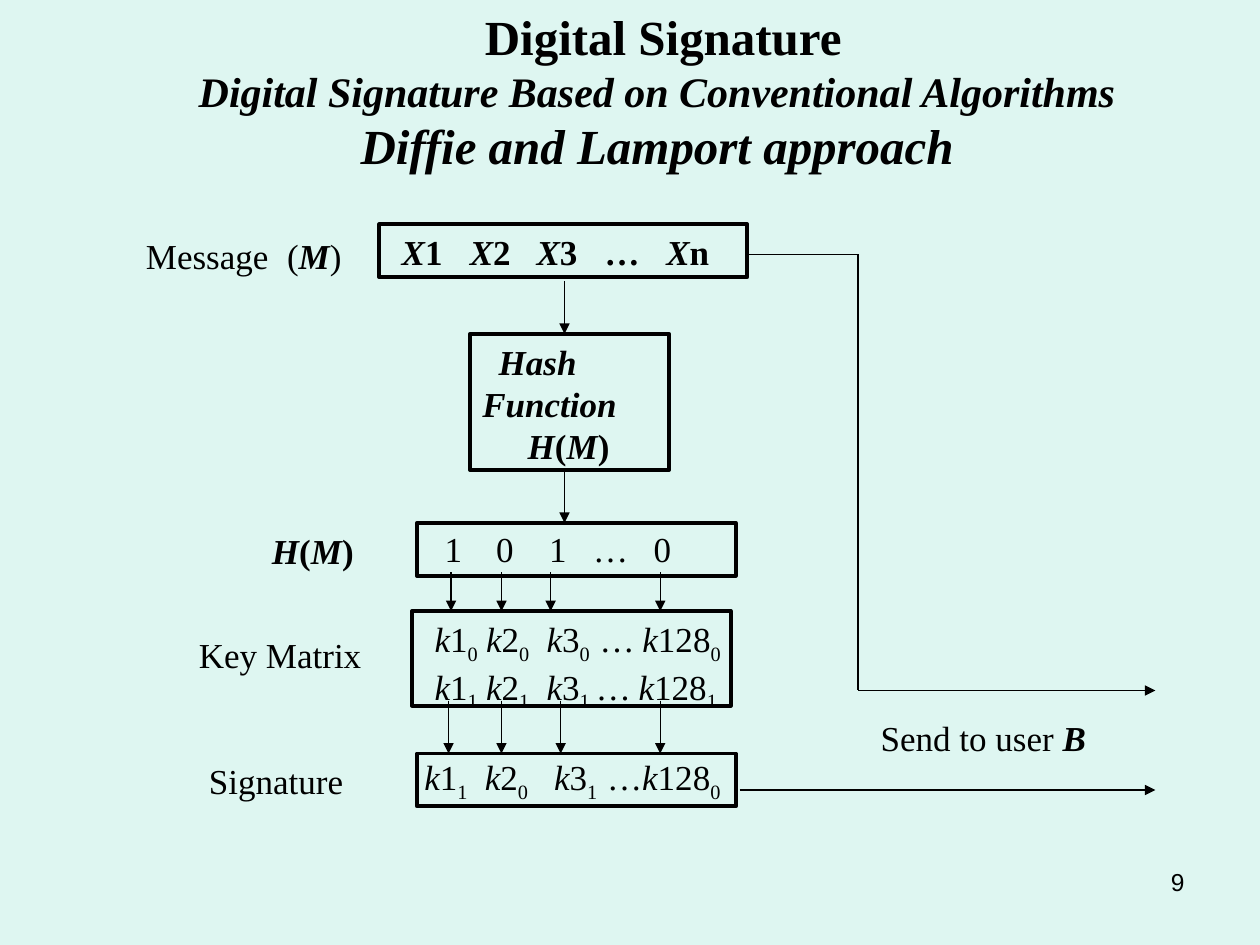
from dataclasses import dataclass

from lxml import etree
from pptx import Presentation
from pptx import util as u
from pptx.dml.color import RGBColor
from pptx.enum import shapes, text
from pptx.oxml.ns import qn

PX = 9144  # EMU in one px, 100 px to the inch
INK = "000000"
SERIF = "Times New Roman"
LEFT, MID, RIGHT = text.PP_ALIGN.LEFT, text.PP_ALIGN.CENTER, text.PP_ALIGN.RIGHT
MARKS = {"/": "italic", "#": "bold", "_": "sub"}


@dataclass
class Para:
    words: str
    size: int = 20
    face: str = SERIF
    align: int = LEFT
    space: float = 0
    indent: int = 0
    tabs: tuple = ()


@dataclass
class Note:
    left: int
    top: int
    width: int
    height: int
    paras: list


@dataclass
class Box:
    left: int
    top: int
    width: int
    height: int


@dataclass
class Line:
    x1: int
    y1: int
    x2: int
    y2: int
    arrow: bool = True


def px(n: int) -> u.Emu:
    return u.Emu(n * PX)


def color(code: str) -> RGBColor:
    return RGBColor.from_string(code)


def add_runs(para, words: str) -> None:
    """Add runs; / toggles italic, # toggles bold, _ toggles subscript."""
    live, part = set(), ""
    for char in words + "/":
        if char not in MARKS:
            part += char
            continue
        if part:
            run = para.add_run()
            run.text = part
            if "italic" in live:
                run.font.italic = True
            if "bold" in live:
                run.font.bold = True
            if "sub" in live:
                run.font._element.set("baseline", "-25000")
        live ^= {MARKS[char]}
        part = ""


def fill_text(frame, paras: list) -> None:
    frame.auto_size = text.MSO_AUTO_SIZE.NONE
    frame.vertical_anchor = text.MSO_ANCHOR.TOP
    for i, item in enumerate(paras):
        para = frame.add_paragraph() if i else frame.paragraphs[0]
        para.alignment = item.align
        para.space_before = u.Pt(item.space)
        props = para._p.get_or_add_pPr()
        if item.indent:
            props.set("marL", str(px(item.indent)))
        if item.tabs:
            stops = etree.SubElement(props, qn("a:tabLst"))
            for stop in item.tabs:
                etree.SubElement(stops, qn("a:tab"), pos=str(px(stop)), algn="l")
        font = para.font
        font.name, font.size = item.face, u.Pt(item.size)
        font.color.rgb = color(INK)
        add_runs(para, item.words)


def add_note(slide, note: Note) -> None:
    area = map(px, (note.left, note.top, note.width, note.height))
    frame = slide.shapes.add_textbox(*area).text_frame
    frame.word_wrap = True
    fill_text(frame, note.paras)


def add_box(slide, box: Box) -> None:
    area = map(px, (box.left, box.top, box.width, box.height))
    rect = slide.shapes.add_shape(shapes.MSO_SHAPE.RECTANGLE, *area)
    rect.shadow.inherit = False
    rect.fill.background()
    rect.line.color.rgb = color(INK)
    rect.line.width = u.Pt(2.25)


def add_line(slide, line: Line) -> None:
    ends = map(px, (line.x1, line.y1, line.x2, line.y2))
    link = slide.shapes.add_connector(shapes.MSO_CONNECTOR.STRAIGHT, *ends)
    link.line.color.rgb = color(INK)
    link.line.width = u.Pt(0.75)
    if line.arrow:
        etree.SubElement(link.line._get_or_add_ln(), qn("a:tailEnd"), type="triangle")
    etree.SubElement(link._element.spPr, qn("a:effectLst"))


def add_title(slide) -> None:
    title = slide.shapes.title
    title.left, title.top, title.width, title.height = map(px, (147, 0, 749, 143))
    title.text_frame.word_wrap = False
    fill_text(title.text_frame, [
        Para("# Digital Signature", 28, align=MID, space=17.5),
        Para("#/Digital Signature Based on Conventional Algorithms", 24, align=MID),
        Para("#/Diffie and Lamport approach", 28, align=MID),
    ])


def key(num: int, bit: int) -> str:
    return f"/k/{num}_{bit}_"


def keys(bits: str, gap: str = "\t") -> str:
    """Keys 1, 2, 3 and 128, each with its bit, parted by tabs."""
    first = [key(n, int(b)) for n, b in zip((1, 2, 3), bits)]
    return "\t".join(first + ["…"]) + gap + key(128, int(bits[3]))


def label(left: int, top: int, width: int, words: str, tabs: tuple = ()) -> Note:
    return Note(left, top, width, 44, [Para(words, space=12.5, tabs=tabs)])


BOXES = [
    Box(301, 178, 292, 42),
    Box(373, 265, 158, 108),
    Box(331, 415, 253, 42),
    Box(327, 485, 253, 75),
    Box(331, 598, 253, 42),
]
NOTES = [
    label(106, 181, 183, "Message\t(#/M/#)", (112,)),
    label(309, 178, 317, "#/X/1\t/X/2\t/X/3\t…\t/X/n", (54, 107, 161, 210)),
    Note(373, 265, 150, 110, [
        Para("#/Hash", space=12.5, indent=13),
        Para("#/Function"),
        Para("#/H/(/M/)", indent=36),
    ]),
    label(206, 415, 125, "#/H/(/M/)"),
    label(343, 414, 237, "1\t0\t1\t…\t0", (41, 83, 118, 166)),
    label(148, 498, 183, "Key Matrix"),
    Note(335, 485, 275, 86, [
        Para(keys("0000"), space=12.5, tabs=(41, 89, 131, 165)),
        Para(keys("1111"), tabs=(41, 89, 128, 162)),
    ]),
    label(156, 598, 170, "Signature"),
    label(327, 595, 293, keys("1010", ""), (48, 103, 145)),
    label(689, 564, 225, "Send to user #/B"),
    Note(717, 683, 233, 52, [Para("9", 14, "Arial", RIGHT)]),
]
LINES = [
    Line(448, 223, 448, 265),
    Line(448, 373, 448, 415),
    *(Line(x, 454, x, 485) for x in (358, 398, 437, 524)),
    *(Line(x, 556, x, 598) for x in (356, 398, 445, 524)),
    Line(594, 202, 681, 202, False),
    Line(681, 202, 681, 548, False),
    Line(681, 548, 917, 548),
    Line(587, 627, 917, 627),
]


def main() -> None:
    deck = Presentation()
    deck.slide_width, deck.slide_height = px(1000), px(750)
    slide = deck.slides.add_slide(deck.slide_layouts[5])
    slide.background.fill.solid()
    slide.background.fill.fore_color.rgb = color("DEF6F1")
    add_title(slide)
    for box in BOXES:
        add_box(slide, box)
    for note in NOTES:
        add_note(slide, note)
    for line in LINES:
        add_line(slide, line)
    deck.save("out.pptx")


if __name__ == "__main__":
    main()
